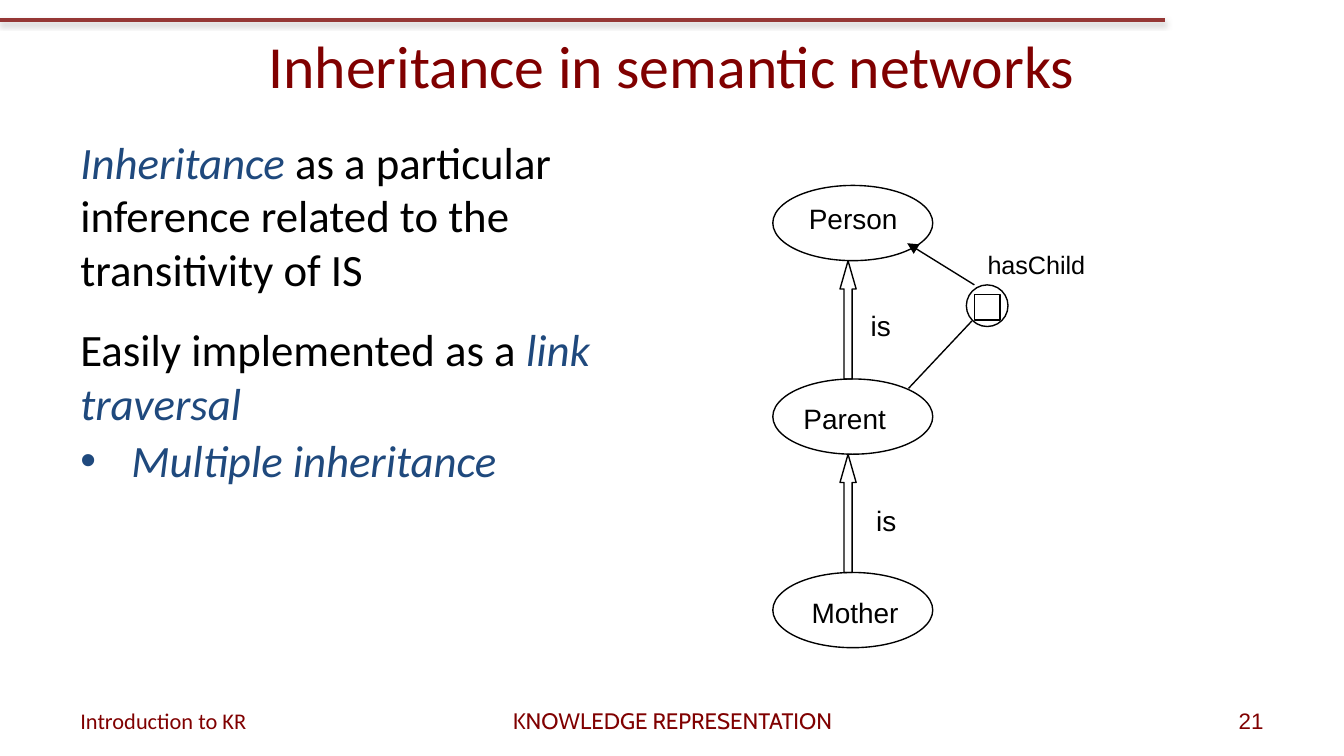
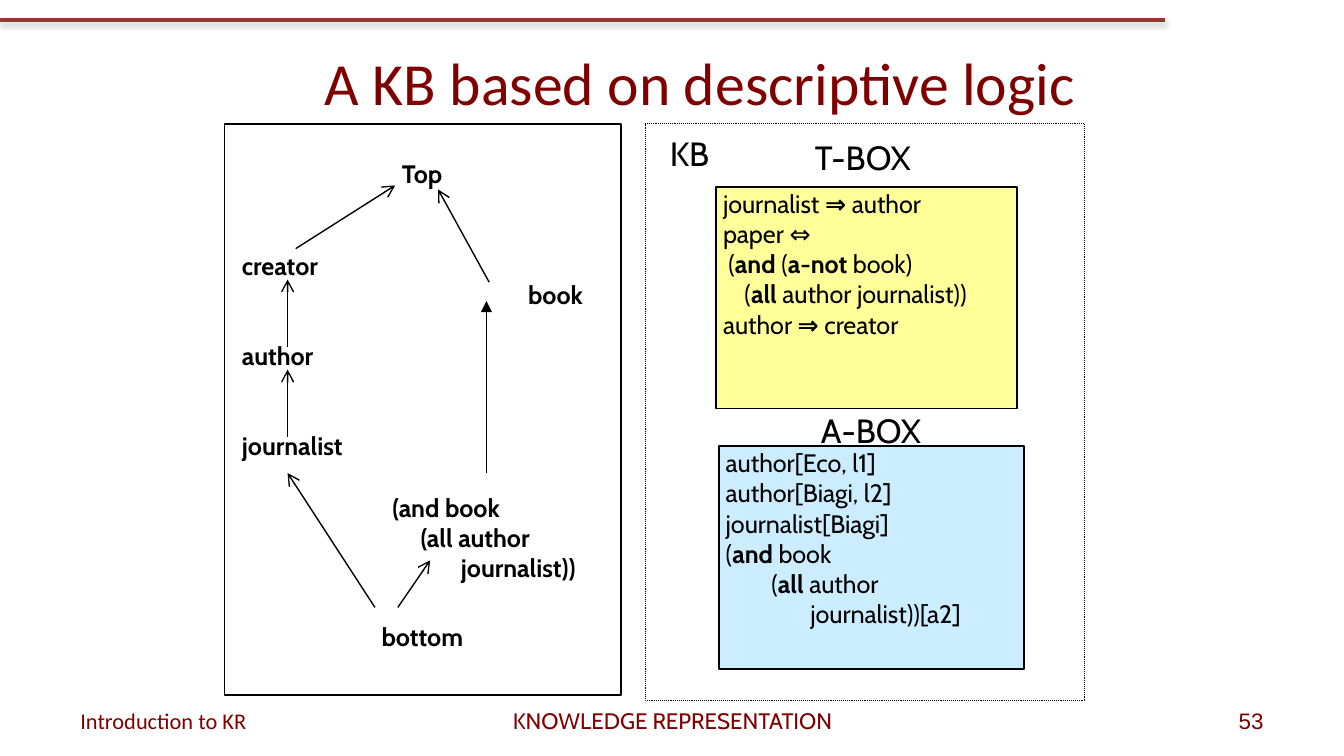
from dataclasses import dataclass

from lxml.etree import SubElement
from pptx import Presentation
from pptx.dml.color import RGBColor
from pptx.enum.dml import MSO_LINE_DASH_STYLE as DASH
from pptx.enum.shapes import MSO_CONNECTOR as CONN, MSO_SHAPE as SHAPE
from pptx.enum.text import MSO_ANCHOR as ANCHOR, PP_ALIGN as ALIGN
from pptx.oxml.ns import qn
from pptx.util import Inches, Pt


@dataclass(frozen=True)
class Theme:
    maroon: str = "800000"
    band: str = "953735"
    shadow: str = "808080"
    blue: str = "1F497D"
    black: str = "000000"
    white: str = "FFFFFF"
    yellow: str = "FFFF99"
    sky: str = "CCECFF"
    head: str = "Calibri"
    logic: str = "Cabin"
    graph: str = "Arial"
    title: float = 32
    body: float = 24
    heading: float = 18
    node: float = 15
    small: float = 13.5
    footer: float = 12
    thin: float = 0.75


T = Theme()

INHERITANCE = {
    "title": "Inheritance in semantic networks",
    "title_at": (0.5, 0.01, 9, 0.94),
    "number": "21",
}
BODY = [
    (False, 0, [("Inheritance", True),
                (" as a particular inference related to the transitivity of IS", False)]),
    (False, 14, [("Easily implemented as a ", False), ("link traversal", True)]),
    (True, 2, [("Multiple inheritance", True)]),
]
CONCEPTS = [
    ("Person", 5.92, 1.45, 0.87),
    ("Parent", 5.88, 2.94, 0.82),
    ("Mother", 5.94, 4.38, 0.86),
]
IS_LABELS = [(6.38, 2.25), (6.42, 3.7)]
ROLE_LINKS = [((6.76, 2.89), (7.23, 2.39), None), ((7.25, 2.12), (6.75, 1.81), "triangle")]

KB = {
    "title": "A KB based on descriptive logic",
    "title_at": (1.67, 0.27, 7.08, 0.68),
    "number": "53",
}
T_BOX = [
    (0, [("journalist ", False), ("⇒ ", True), ("author", False)]),
    (0, [("paper ⇔", False)]),
    (0.04, [("(", False), ("and", True), (" (", False), ("a-not", True), (" book)", False)]),
    (0.16, [("(", False), ("all ", True), ("author journalist))", False)]),
    (0, [("author ", False), ("⇒", True), (" creator", False)]),
]
A_BOX = [
    (0, [("author[Eco, l1]", False)]),
    (0, [("author[Biagi, l2]", False)]),
    (0, [("journalist[Biagi]", False)]),
    (0, [("(", False), ("and ", True), ("book", False)]),
    (0.34, [("(", False), ("all ", True), ("author", False)]),
    (0.63, [("journalist))[a2]", False)]),
]
HEADINGS = [("KB", 4.62, 0.98), ("T-BOX", 5.91, 1.01), ("A-BOX", 5.97, 3.04)]
TAXONOMY = [
    (2.99, 1.18, [(0, "Top")]),
    (1.8, 1.86, [(0, "creator")]),
    (3.93, 2.08, [(0, "book")]),
    (1.8, 2.53, [(0, "author")]),
    (1.8, 3.2, [(0, "journalist")]),
    (2.92, 3.66, [(0, "(and book"), (0.21, "(all author"), (0.51, "journalist))")]),
    (2.84, 4.62, [(0, "bottom")]),
]
SUBSUMPTIONS = [
    ((2.2, 1.85), (2.94, 1.38), "arrow"),
    ((3.64, 2.1), (3.26, 1.41), "arrow"),
    ((2.14, 2.58), (2.14, 2.08), "arrow"),
    ((2.96, 4.52), (3.2, 4.17), "arrow"),
    ((2.14, 3.25), (2.14, 2.75), "arrow"),
    ((3.62, 3.52), (3.62, 2.24), "triangle"),
    ((2.79, 4.52), (2.14, 3.52), "arrow"),
]
FOOTERS = [
    ("Introduction to KR", 0.5, 2.33, T.head, ALIGN.LEFT),
    ("KNOWLEDGE REPRESENTATION", 3.42, 3.17, T.logic, ALIGN.CENTER),
]


def rgb(color):
    return RGBColor.from_string(color)


def inches(at):
    return [Inches(v) for v in at]


def style(font, name, size, color, bold=False, italic=False):
    font.name, font.size, font.bold, font.italic = name, Pt(size), bold, italic
    font.color.rgb = rgb(color)


def inset(tf, x, y):
    tf.margin_left = tf.margin_right = Inches(x)
    tf.margin_top = tf.margin_bottom = Inches(y)


def paragraphs(tf, count):
    return [tf.paragraphs[0]] + [tf.add_paragraph() for _ in range(count - 1)]


def indent(p, left, hanging=0):
    pPr = p._p.get_or_add_pPr()
    pPr.set("marL", str(Inches(left)))
    pPr.set("indent", str(-Inches(hanging)))
    return pPr


def add_text(s, text, at, name, size, color=T.black, align=ALIGN.LEFT,
             anchor=ANCHOR.TOP, wrap=True, margins=(0.1, 0.05)):
    sp = s.shapes.add_textbox(*inches(at))
    tf = sp.text_frame
    tf.word_wrap, tf.vertical_anchor = wrap, anchor
    inset(tf, *margins)
    p = tf.paragraphs[0]
    p.text, p.alignment = text, align
    style(p.runs[0].font, name, size, color)


def add_figure(s, kind, at, fill=None, width=T.thin, dash=None):
    sp = s.shapes.add_shape(kind, *inches(at))
    sp.shadow.inherit = False
    if fill:
        sp.fill.solid()
        sp.fill.fore_color.rgb = rgb(fill)
    else:
        sp.fill.background()
    sp.line.color.rgb = rgb(T.black)
    sp.line.width = Pt(width)
    if dash:
        sp.line.dash_style = dash
    return sp


def add_line(s, start, end, head=None, color=T.black, width=T.thin):
    c = s.shapes.add_connector(CONN.STRAIGHT, *inches(start + end))
    c.line.color.rgb = rgb(color)
    c.line.width = Pt(width)
    spPr = c._element.spPr
    if head:
        SubElement(spPr.find(qn("a:ln")), qn("a:tailEnd"), type=head)
    return SubElement(spPr, qn("a:effectLst"))


def add_logic(s, at, fill, lines):
    tf = add_figure(s, SHAPE.RECTANGLE, at, fill, 1).text_frame
    tf.word_wrap, tf.vertical_anchor = True, ANCHOR.TOP
    inset(tf, 0.05, 0.01)
    for p, (left, parts) in zip(paragraphs(tf, len(lines)), lines):
        p.alignment = ALIGN.LEFT
        indent(p, left)
        for text, strong in parts:
            r = p.add_run()
            r.text = text
            style(r.font, T.logic, T.small, T.black, bold=strong)


def add_slide(prs, content):
    s = prs.slides.add_slide(prs.slide_layouts[5])
    effects = add_line(s, (0, 0.15), (8.67, 0.15), color=T.band, width=2)
    shadow = SubElement(effects, qn("a:outerShdw"), blurRad=str(Pt(3.1)),
                        dist=str(Pt(1.6)), dir="5400000", rotWithShape="0")
    color = SubElement(shadow, qn("a:srgbClr"), val=T.shadow)
    SubElement(color, qn("a:alpha"), val="38000")
    title = s.shapes.title
    title.left, title.top, title.width, title.height = inches(content["title_at"])
    tf = title.text_frame
    tf.text = content["title"]
    tf.word_wrap, tf.vertical_anchor = True, ANCHOR.MIDDLE
    p = tf.paragraphs[0]
    p.alignment = ALIGN.CENTER
    style(p.runs[0].font, T.head, T.title, T.maroon)
    number = (content["number"], 7.17, 2.33, T.graph, ALIGN.RIGHT)
    for text, left, width, name, align in FOOTERS + [number]:
        add_text(s, text, (left, 5.21, width, 0.3), name, T.footer, T.maroon,
                 align, ANCHOR.MIDDLE)
    return s


def add_body(s):
    tf = s.shapes.add_textbox(*inches((0.5, 0.95, 4.5, 4.08))).text_frame
    tf.word_wrap = True
    for p, (bullet, before, parts) in zip(paragraphs(tf, len(BODY)), BODY):
        p.space_before = Pt(before)
        if bullet:
            pPr = indent(p, 0.38, 0.38)
            SubElement(pPr, qn("a:buFont"), typeface=T.graph)
            SubElement(pPr, qn("a:buChar"), char="•")
        for text, key in parts:
            r = p.add_run()
            r.text = text
            style(r.font, T.head, T.body, T.blue if key else T.black, italic=key)


def build_inheritance(prs):
    s = add_slide(prs, INHERITANCE)
    add_body(s)
    first, pitch, height = 1.38, 1.44, 0.56
    for i, (text, left, top, width) in enumerate(CONCEPTS):
        y = first + i * pitch
        add_figure(s, SHAPE.OVAL, (5.75, y, 1.19, height))
        add_text(s, text, (left, top, width, 0.35), T.graph, T.node, wrap=False)
        if i:
            above = y - pitch + height
            arrow = add_figure(s, SHAPE.UP_ARROW, (6.25, above, 0.12, y - above))
            arrow.adjustments[0], arrow.adjustments[1] = 0.5, 1.75
    for left, top in IS_LABELS:
        add_text(s, "is", (left, top, 0.35, 0.35), T.graph, T.node, wrap=False)
    add_figure(s, SHAPE.OVAL, (7.19, 2.12, 0.31, 0.31))
    add_figure(s, SHAPE.RECTANGLE, (7.25, 2.19, 0.19, 0.19))
    for link in ROLE_LINKS:
        add_line(s, *link)
    add_text(s, "hasChild", (7.25, 1.81, 0.94, 0.33), T.graph, T.small, wrap=False)


def build_kb(prs):
    s = add_slide(prs, KB)
    add_figure(s, SHAPE.RECTANGLE, (4.8, 0.92, 3.27, 4.29), T.white, 0.5, DASH.ROUND_DOT)
    add_logic(s, (5.33, 1.39, 2.24, 1.65), T.yellow, T_BOX)
    add_logic(s, (5.35, 3.32, 2.27, 1.66), T.sky, A_BOX)
    for text, left, top in HEADINGS:
        add_text(s, text, (left, top, 1.02, 0.35), T.logic, T.heading,
                 align=ALIGN.CENTER, margins=(0.01, 0.01))
    add_figure(s, SHAPE.RECTANGLE, (1.67, 0.92, 2.95, 4.25), T.white, 1)
    for left, top, lines in TAXONOMY:
        at = (left, top, 4.55 - left, 0.23 * len(lines))
        tf = s.shapes.add_textbox(*inches(at)).text_frame
        tf.word_wrap = True
        inset(tf, 0, 0)
        for p, (shift, text) in zip(paragraphs(tf, len(lines)), lines):
            p.text = text
            indent(p, shift)
            style(p.runs[0].font, T.logic, T.small, T.black, bold=True)
    for link in SUBSUMPTIONS:
        add_line(s, *link)


def main():
    prs = Presentation()
    prs.slide_width = Inches(10)
    prs.slide_height = prs.slide_width * 9 // 16
    build_inheritance(prs)
    build_kb(prs)
    prs.save("out.pptx")


if __name__ == "__main__":
    main()
